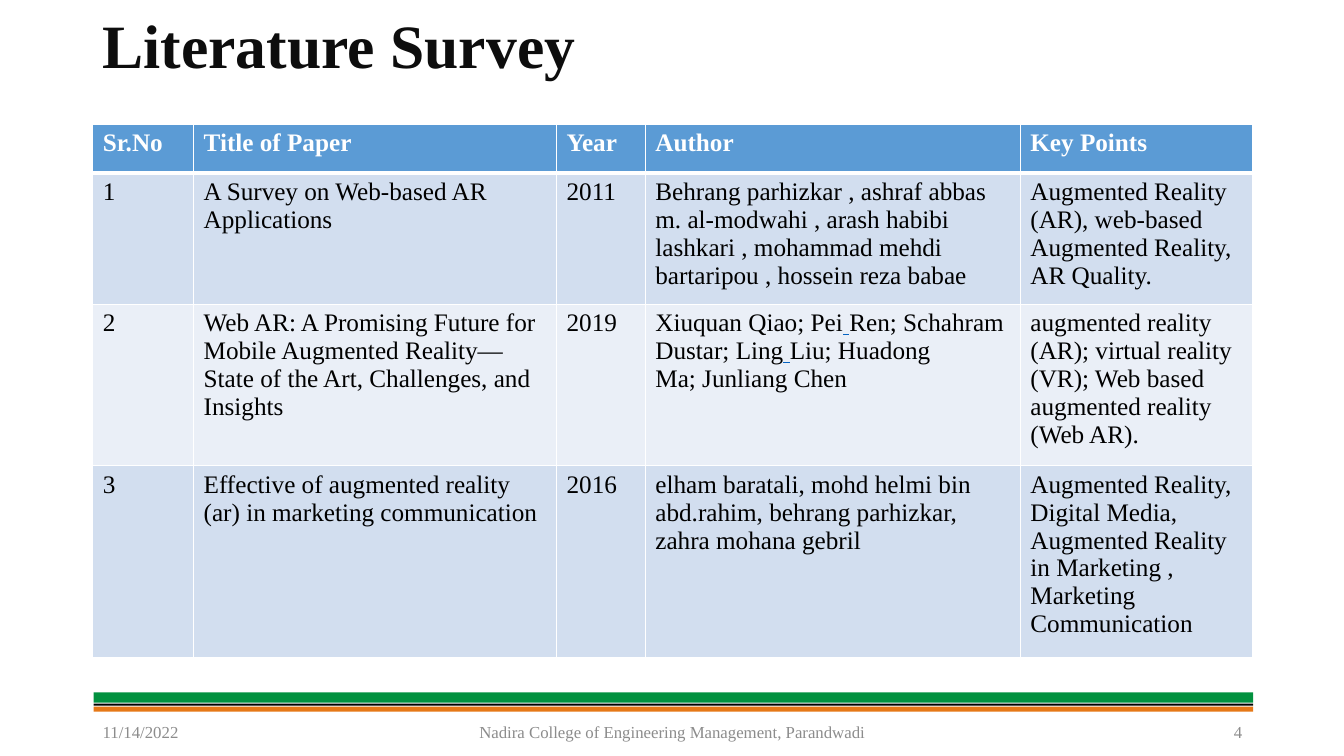
import pptx
import pptx.util
import pptx.dml.color
import pptx.enum.shapes
import pptx.enum.text
import pptx.oxml.ns
import lxml.etree

Inches = pptx.util.Inches
ALIGN = pptx.enum.text.PP_ALIGN
FONT = "Times New Roman"
COLORS = {
    "title": "0D0D0D", "footer": "8C8C8C", "body": "000000", "link": "0563C1",
    "white": "FFFFFF", "header": "5B9BD5", "odd": "D2DEEF", "even": "EAEFF7",
    "green": "02913F", "orange": "E67817", "black": "000000",
}
PAPERS = [
    ["Sr.No", "Title of Paper", "Year", "Author", "Key Points"],
    ["1", "A Survey on Web-based AR Applications", "2011",
     "Behrang parhizkar , ashraf abbas m. al-modwahi , arash habibi lashkari , "
     "mohammad mehdi bartaripou , hossein reza babae",
     "Augmented Reality (AR), web-based Augmented Reality, AR Quality."],
    ["2", "Web AR: A Promising Future for Mobile Augmented Reality\u2014State of the Art, "
     "Challenges, and Insights", "2019",
     "Xiuquan Qiao;\u00a0Pei_Ren;\u00a0Schahram Dustar;\u00a0Ling_Liu;\u00a0Huadong "
     "Ma;\u00a0Junliang Chen",
     "augmented reality (AR); virtual reality (VR); Web based augmented reality (Web AR)."],
    ["3", "Effective of augmented reality (ar) in marketing communication", "2016",
     "elham baratali, mohd helmi bin abd.rahim, behrang parhizkar, zahra mohana gebril",
     "Augmented Reality, Digital Media, Augmented Reality in Marketing , "
     "Marketing Communication"],
]
COLUMN_WIDTHS = [1, 3.6, 0.88, 3.72, 2.3]
ROW_HEIGHTS = [0.49, 1.21, 1.49, 1.76]


def rgb(name):
    return pptx.dml.color.RGBColor.from_string(COLORS[name])


def style_run(run, size, color, bold=False):
    run.font.name = FONT
    run.font.size = pptx.util.Pt(size)
    run.font.bold = bold
    run.font.color.rgb = rgb(color)


def add_label(slide, box, text, size, color, align=ALIGN.LEFT, bold=False):
    frame = slide.shapes.add_textbox(*map(Inches, box)).text_frame
    frame.word_wrap = True
    frame.vertical_anchor = pptx.enum.text.MSO_ANCHOR.MIDDLE
    frame.text = text
    paragraph = frame.paragraphs[0]
    paragraph.alignment = align
    style_run(paragraph.runs[0], size, color, bold)
    return paragraph


def add_heading(slide, box):
    heading = add_label(slide, box, "Literature Survey", 44, "title", bold=True)
    heading.line_spacing = 0.9


def set_borders(cell, bottom_width, top_width):
    properties = cell._tc.get_or_add_tcPr()
    widths = {"lnL": 1, "lnR": 1, "lnT": top_width, "lnB": bottom_width}
    for side, width in widths.items():
        line = lxml.etree.SubElement(properties, pptx.oxml.ns.qn("a:" + side),
                                     w=str(pptx.util.Pt(width)))
        fill = lxml.etree.SubElement(line, pptx.oxml.ns.qn("a:solidFill"))
        lxml.etree.SubElement(fill, pptx.oxml.ns.qn("a:srgbClr"), val=COLORS["white"])


def fill_cell(cell, text, row):
    is_header = row == 0
    set_borders(cell, 3 if is_header else 1, 3 if row == 1 else 1)
    cell.fill.solid()
    cell.fill.fore_color.rgb = rgb("header" if is_header else "odd" if row % 2 else "even")
    paragraph = cell.text_frame.paragraphs[0]
    for piece in text.replace("_", "| |").split("|"):
        run = paragraph.add_run()
        run.text = piece
        is_link = piece == " "
        style_run(run, 18, "white" if is_header else "link" if is_link else "body", is_header)
        run.font.underline = is_link


def add_survey(slide, box):
    survey = slide.shapes.add_table(len(PAPERS), len(COLUMN_WIDTHS), *map(Inches, box)).table
    for column, width in zip(survey.columns, COLUMN_WIDTHS):
        column.width = Inches(width)
    for row, height in zip(survey.rows, ROW_HEIGHTS):
        row.height = Inches(height)
    for row, paper in enumerate(PAPERS):
        for column, text in enumerate(paper):
            fill_cell(survey.cell(row, column), text, row)


def add_stripes(slide, box):
    left, top, width, _ = box
    for offset, height, color in [(0, 0.1, "green"), (0.14, 0.05, "orange"),
                                  (0.11, 0.02, "black")]:
        stripe = slide.shapes.add_shape(pptx.enum.shapes.MSO_SHAPE.RECTANGLE, Inches(left),
                                        Inches(top + offset), Inches(width), Inches(height))
        stripe.shadow.inherit = False
        stripe.fill.solid()
        stripe.fill.fore_color.rgb = rgb(color)
        stripe.line.fill.background()


def add_footer(slide, box):
    left, top, width, height = box
    for offset, label_width, text, align in [
        (0, 3, "11/14/2022", ALIGN.LEFT),
        ((width - 4.5) / 2, 4.5, "Nadira College of Engineering Management, Parandwadi",
         ALIGN.CENTER),
        (width - 3, 3, "4", ALIGN.RIGHT),
    ]:
        add_label(slide, (left + offset, top, label_width, height), text, 12, "footer", align)


deck = pptx.Presentation()
deck.slide_width = Inches(13.33)
deck.slide_height = Inches(7.5)
survey_slide = deck.slides.add_slide(deck.slide_layouts[6])
add_stripes(survey_slide, (0.93, 6.87, 11.5, 0.19))
add_heading(survey_slide, (0.92, 0, 11.5, 0.97))
add_footer(survey_slide, (0.92, 7.06, 11.5, 0.4))
add_survey(survey_slide, (0.92, 1.23, 11.5, sum(ROW_HEIGHTS)))
deck.save("out.pptx")
